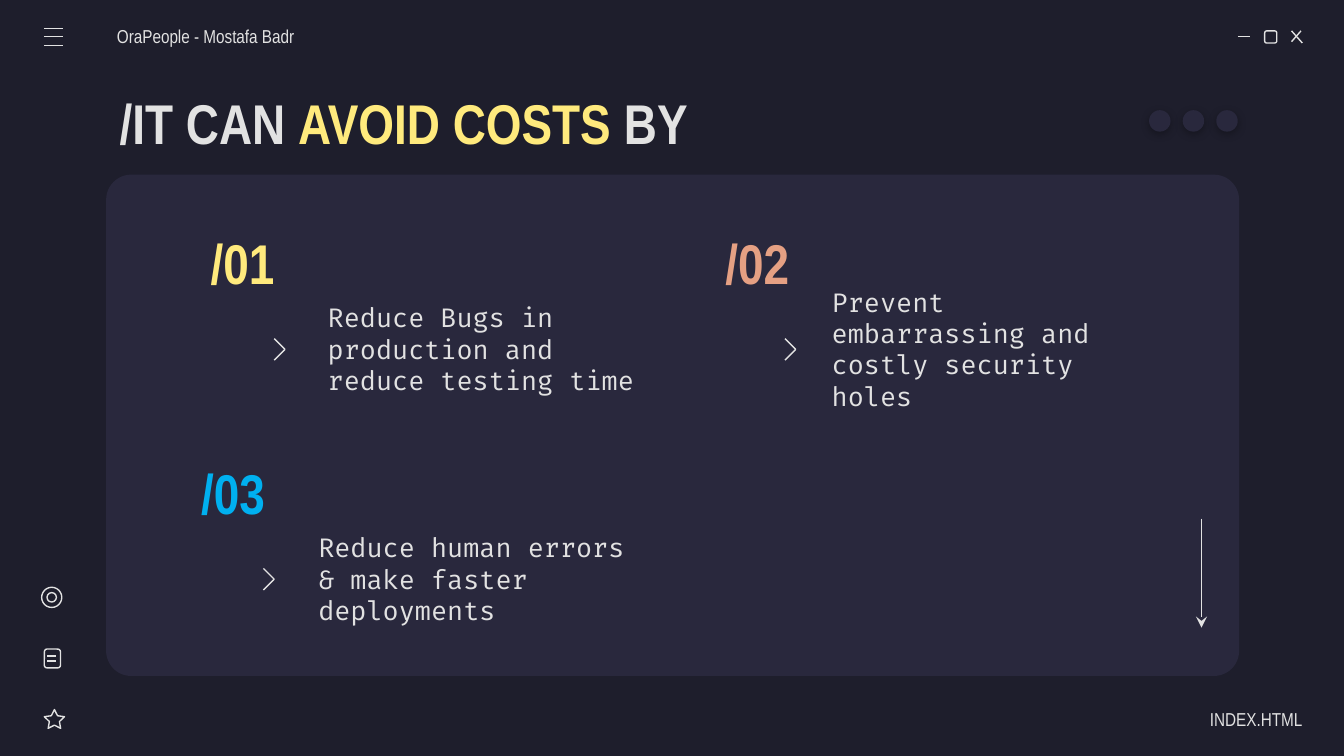
import pptx
import pptx.util
import pptx.dml.color
import pptx.enum.shapes
import pptx.enum.text
import pptx.oxml
import pptx.oxml.ns

Inches = pptx.util.Inches
Pt = pptx.util.Pt
RGBColor = pptx.dml.color.RGBColor
SHAPE = pptx.enum.shapes.MSO_SHAPE
ALIGN = pptx.enum.text.PP_ALIGN

NIGHT = RGBColor(0x1E, 0x1E, 0x2C)
PANEL = RGBColor(0x29, 0x28, 0x3D)
LIGHT = RGBColor(0xE2, 0xE2, 0xE2)
YELLOW = RGBColor(0xFF, 0xEA, 0x7D)
PEACH = RGBColor(0xE5, 0xA0, 0x83)
BLUE = RGBColor(0x00, 0xB0, 0xF0)

HEAD = "Arial Narrow"
BODY = "Fira Code"

# number, colour, text, left, top, chevron left, text left
ITEMS = [
    ("/01", YELLOW, "Reduce Bugs in production and reduce testing time",
     1.35, 1.67, 2.04, 2.34),
    ("/02", PEACH, "Prevent embarrassing and costly security holes",
     5.18, 1.67, 5.84, 6.09),
    ("/03", BLUE, "Reduce human errors & make faster deployments",
     1.28, 3.38, 1.96, 2.27),
]


def add_xml(parent, tag, inner=""):
    space = pptx.oxml.ns.nsdecls("a")
    parent.append(pptx.oxml.parse_xml(f"<a:{tag} {space}>{inner}</a:{tag}>"))


def fill_text(shape, runs, size, font=HEAD, bold=False, align=ALIGN.LEFT,
              left=0.1, right=0.1):
    """Write one paragraph of (text, colour) runs, centred vertically."""
    frame = shape.text_frame
    frame.word_wrap = True
    frame.auto_size = pptx.enum.text.MSO_AUTO_SIZE.NONE
    frame.vertical_anchor = pptx.enum.text.MSO_ANCHOR.MIDDLE
    frame.margin_left, frame.margin_right = Inches(left), Inches(right)
    frame.margin_top = frame.margin_bottom = Inches(0.1)
    para = frame.paragraphs[0]
    para.alignment = align
    para.font.name, para.font.size, para.font.bold = font, Pt(size), bold
    for text, color in runs:
        run = para.add_run()
        run.text = text
        run.font.color.rgb = color


def add_text(slide, box, text, color, size, **style):
    shape = slide.shapes.add_textbox(*map(Inches, box))
    fill_text(shape, [(text, color)], size, **style)


def add_line(slide, *ends):
    line = slide.shapes.add_connector(
        pptx.enum.shapes.MSO_CONNECTOR.STRAIGHT, *map(Inches, ends))
    line.line.color.rgb = LIGHT
    line.line.width = Pt(0.75)
    add_xml(line._element.spPr, "effectLst")
    return line


def set_outline(shape):
    shape.shadow.inherit = False
    shape.fill.background()
    shape.line.color.rgb = LIGHT
    shape.line.width = Pt(0.75)


def add_icon(slide, kind, *box):
    shape = slide.shapes.add_shape(kind, *map(Inches, box))
    set_outline(shape)
    return shape


def add_solid(slide, kind, *box):
    shape = slide.shapes.add_shape(kind, *map(Inches, box))
    shape.shadow.inherit = False
    shape.fill.solid()
    shape.fill.fore_color.rgb = PANEL
    shape.line.fill.background()
    return shape


def add_dot(slide, left):
    dot = add_solid(slide, SHAPE.OVAL, left, 0.82, 0.16, 0.16)
    effects = dot._element.spPr.find(pptx.oxml.ns.qn("a:effectLst"))
    add_xml(effects, "outerShdw",
            '<a:srgbClr val="000000"><a:alpha val="30000"/></a:srgbClr>')
    shadow = effects[0]
    shadow.set("blurRad", str(Pt(4.5)))
    shadow.set("dist", str(Pt(1.5)))
    shadow.set("dir", "5400000")


def add_chevron(slide, left, top):
    path = slide.shapes.build_freeform(Inches(left), Inches(top))
    points = [(left + 0.08, top + 0.08), (left, top + 0.16)]
    path.add_line_segments([tuple(map(Inches, p)) for p in points],
                           close=False)
    set_outline(path.convert_to_shape())


def add_item(slide, number, color, text, left, top, mark, body):
    add_text(slide, (left, top, 0.91, 0.56), number, color, 30,
             bold=True, align=ALIGN.CENTER)
    add_chevron(slide, mark, top + 0.85)
    add_text(slide, (body, top + 0.55, 2.56, 0.75), text, LIGHT, 14,
             font=BODY)


def add_title(slide):
    title = slide.shapes.title
    title.left, title.top = Inches(0.79), Inches(0.59)
    title.width, title.height = Inches(8.43), Inches(0.63)
    runs = [("/IT CAN ", LIGHT), ("AVOID COSTS ", YELLOW), ("BY", LIGHT)]
    fill_text(title, runs, 30, bold=True)


def add_window(slide):
    """Draw the menu at top left and the window buttons at top right."""
    for y in (0.21, 0.27, 0.34):
        add_line(slide, 0.33, y, 0.47, y)
    add_line(slide, 9.21, 0.27, 9.3, 0.27)
    add_icon(slide, SHAPE.ROUNDED_RECTANGLE, 9.41, 0.23, 0.09, 0.09)
    add_line(slide, 9.61, 0.23, 9.69, 0.32)
    add_line(slide, 9.68, 0.23, 9.61, 0.31)


def add_sidebar(slide):
    add_icon(slide, SHAPE.OVAL, 0.31, 4.37, 0.15, 0.15)
    add_icon(slide, SHAPE.OVAL, 0.35, 4.41, 0.07, 0.07)
    add_icon(slide, SHAPE.ROUNDED_RECTANGLE, 0.33, 4.83, 0.12, 0.14)
    for y in (4.88, 4.92):
        add_line(slide, 0.35, y, 0.42, y)
    star = add_icon(slide, SHAPE.STAR_5_POINT, 0.33, 5.28, 0.15, 0.14)
    star.adjustments[0] = 0.25


def add_arrow(slide):
    arrow = add_line(slide, 8.94, 3.86, 8.94, 4.67)
    edge = arrow.line._get_or_add_ln()
    add_xml(edge, "tailEnd")
    edge[-1].set("type", "stealth")


def main():
    deck = pptx.Presentation()
    deck.slide_width = Inches(10)
    deck.slide_height = deck.slide_width * 9 // 16
    slide = deck.slides.add_slide(deck.slide_layouts[5])
    slide.background.fill.solid()
    slide.background.fill.fore_color.rgb = NIGHT

    panel = add_solid(slide, SHAPE.ROUNDED_RECTANGLE, 0.79, 1.3, 8.43, 3.73)
    panel.adjustments[0] = 0.05
    add_title(slide)
    add_window(slide)
    add_sidebar(slide)
    for item in ITEMS:
        add_item(slide, *item)
    add_arrow(slide)
    for i in range(3):
        add_dot(slide, 8.55 + 0.25 * i)
    add_text(slide, (0.87, 0.12, 1.92, 0.3), "OraPeople - Mostafa Badr",
             LIGHT, 10, left=0)
    add_text(slide, (8.52, 5.2, 1.17, 0.3), "INDEX.HTML", LIGHT, 10,
             align=ALIGN.RIGHT, right=0)
    deck.save("out.pptx")


if __name__ == "__main__":
    main()
